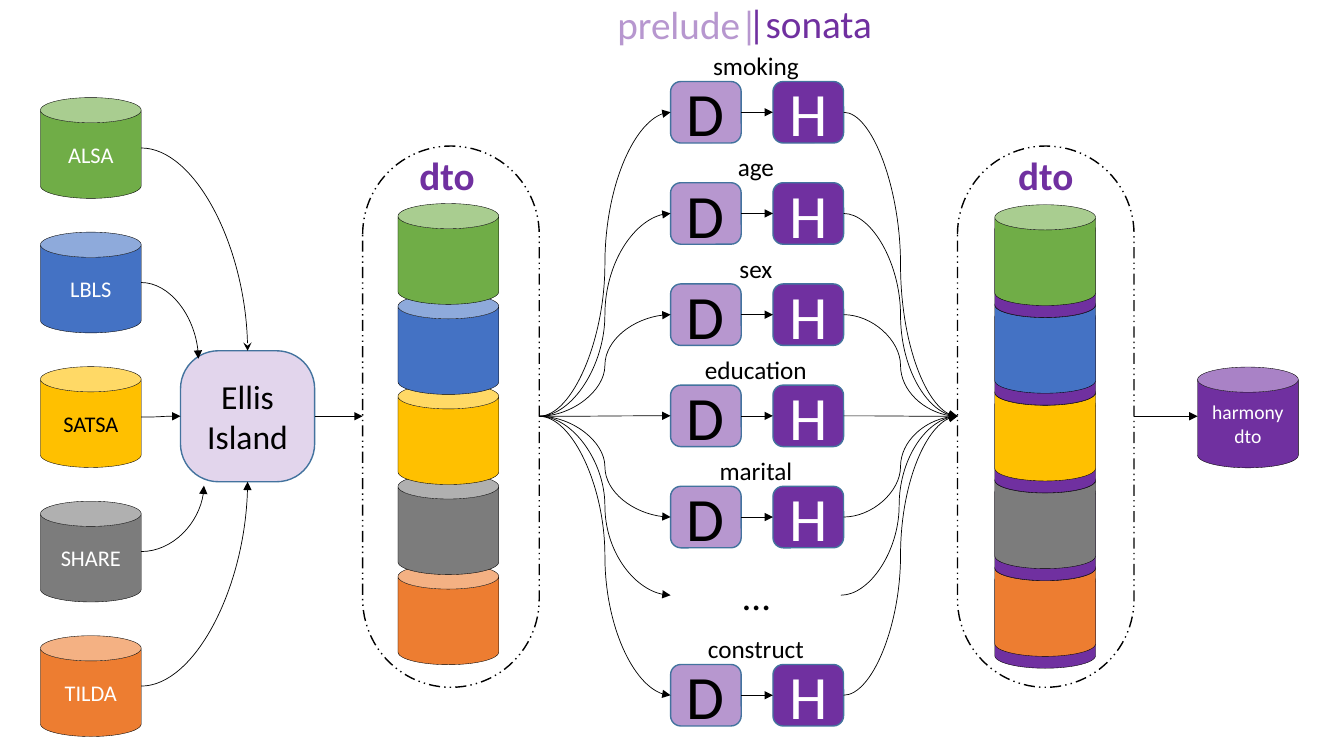
from lxml.etree import SubElement
from pptx import Presentation
from pptx.dml.color import RGBColor
from pptx.enum.dml import MSO_LINE
from pptx.enum.shapes import MSO_CONNECTOR, MSO_SHAPE
from pptx.enum.text import MSO_ANCHOR, MSO_AUTO_SIZE, PP_ALIGN
from pptx.oxml.ns import qn
from pptx.util import Cm, Pt

BLACK = RGBColor(0x00, 0x00, 0x00)
WHITE = RGBColor(0xFF, 0xFF, 0xFF)
GREEN = RGBColor(0x70, 0xAD, 0x47)
BLUE = RGBColor(0x44, 0x72, 0xC4)
GOLD = RGBColor(0xFF, 0xC0, 0x00)
GRAY = RGBColor(0x7C, 0x7C, 0x7C)
ORANGE = RGBColor(0xED, 0x7D, 0x31)
PURPLE = RGBColor(0x70, 0x30, 0xA0)
LILAC = RGBColor(0xB7, 0x97, 0xCF)
STEEL = RGBColor(0x43, 0x73, 0x9E)

STUDIES = [("ALSA", GREEN, WHITE), ("LBLS", BLUE, WHITE), ("SATSA", GOLD, BLACK),
           ("SHARE", GRAY, WHITE), ("TILDA", ORANGE, WHITE)]
CONSTRUCTS = [("smoking", 2.69), ("age", 1.45), ("sex", 1.35),
              ("education", 3.12), ("marital", 2.36)]

AXIS = 10.49
CAN = 2.54
SOURCE_X, SOURCE_Y, SOURCE_STEP = 1.02, 2.46, 3.39
ELLIS_X, ELLIS_Y, ELLIS_W, ELLIS_H = 4.55, 8.84, 3.38, 3.3
CAPSULE_Y, CAPSULE_W, CAPSULE_H = 3.68, 4.45, 13.64
RAW_X, HARMONIZED_X = 9.14, 24.13
D_X, H_X, BOX_W, BOX_H = 16.9, 19.48, 1.78, 1.55
ROW_Y, ROW_STEP = 2.83, 2.55
DOTS_Y, LAST_Y = 15.0, 17.52
LABEL_CENTER = 19.05


def write(sp, lines, size, color, align=PP_ALIGN.CENTER, bold=False):
    tf = sp.text_frame
    tf.text = "\n".join(lines)
    for p in tf.paragraphs:
        p.alignment = align
        p.font.name = "Calibri"
        p.font.size = Pt(size)
        p.font.bold = bold
        p.font.color.rgb = color


def add_block(s, kind, x, y, w, h, fill, line, width, opacity=100):
    sp = s.shapes.add_shape(kind, Cm(x), Cm(y), Cm(w), Cm(h))
    sp.shadow.inherit = False
    sp.fill.solid()
    sp.fill.fore_color.rgb = fill
    if opacity < 100:
        color = sp._element.spPr.find(qn("a:solidFill"))[0]
        SubElement(color, qn("a:alpha")).set("val", str(opacity * 1000))
    sp.line.color.rgb = line
    sp.line.width = Pt(width)
    sp.text_frame.vertical_anchor = MSO_ANCHOR.MIDDLE
    return sp


def add_can(s, x, y, fill):
    return add_block(s, MSO_SHAPE.CAN, x, y, CAN, CAN, fill, BLACK, 0.25)


def add_rounded(s, x, y, w, h, fill, opacity=100):
    return add_block(s, MSO_SHAPE.ROUNDED_RECTANGLE, x, y, w, h, fill, STEEL, 1, opacity)


def add_text(s, x, y, w, h, text, size, color, align=PP_ALIGN.CENTER, bold=False, wrap=False):
    sp = s.shapes.add_textbox(Cm(x), Cm(y), Cm(w), Cm(h))
    sp.text_frame.word_wrap = wrap
    sp.text_frame.auto_size = MSO_AUTO_SIZE.SHAPE_TO_FIT_TEXT
    write(sp, [text], size, color, align, bold)


def add_arrow(s, x1, y1, x2, y2, bend="curvedConnector3", head="triangle"):
    c = s.shapes.add_connector(MSO_CONNECTOR.CURVE, Cm(x1), Cm(y1), Cm(x2), Cm(y2))
    c.line.color.rgb = BLACK
    c.line.width = Pt(0.5)
    spPr = c._element.spPr
    spPr.find(qn("a:prstGeom")).set("prst", bend)
    SubElement(spPr.find(qn("a:ln")), qn("a:tailEnd")).set("type", head)
    SubElement(spPr, qn("a:effectLst"))


def add_capsule(s, x, label_x):
    sp = add_block(s, MSO_SHAPE.ROUNDED_RECTANGLE, x, CAPSULE_Y, CAPSULE_W, CAPSULE_H,
                   WHITE, BLACK, 1)
    sp.adjustments[0] = 0.5
    sp.line.dash_style = MSO_LINE.DASH_DOT_DOT
    add_text(s, label_x, CAPSULE_Y, 4.29, 1.45, "dto", 28, PURPLE, bold=True, wrap=True)


def add_stack(s, x, y, step, backing=None):
    for i, (_, fill, _) in reversed(list(enumerate(STUDIES))):
        if backing is not None:
            add_can(s, x, y + i * step + 0.3, backing)
        add_can(s, x, y + i * step, fill)


def add_fan(s, y, right=H_X + BOX_W):
    add_arrow(s, RAW_X + CAPSULE_W, AXIS, D_X, y)
    add_arrow(s, right, y, HARMONIZED_X, AXIS)


def add_construct(s, y, name, width):
    add_text(s, LABEL_CENTER - width / 2, y - 1.68, width, 1.03, name, 18, BLACK)
    write(add_rounded(s, D_X, y - BOX_H / 2, BOX_W, BOX_H, PURPLE, 50), ["D"], 44, BLACK)
    write(add_rounded(s, H_X, y - BOX_H / 2, BOX_W, BOX_H, PURPLE), ["H"], 44, WHITE)
    add_arrow(s, D_X + BOX_W, y, H_X, y)
    add_fan(s, y)


def add_sources(s):
    for i, (name, fill, color) in enumerate(STUDIES):
        write(add_can(s, SOURCE_X, SOURCE_Y + i * SOURCE_STEP, fill), [name], 16, color)
    ellis = add_rounded(s, ELLIS_X, ELLIS_Y, ELLIS_W, ELLIS_H, PURPLE, 20)
    ellis.adjustments[0] = 0.29
    write(ellis, ["Ellis", "Island"], 24, BLACK)
    middle = ELLIS_X + ELLIS_W / 2
    targets = [(middle, ELLIS_Y, "curvedConnector2", "stealth"),
               (5.0, 9.04, "curvedConnector2", "triangle"),
               (ELLIS_X, AXIS, "curvedConnector3", "triangle"),
               (5.14, 12.24, "curvedConnector2", "triangle"),
               (middle, ELLIS_Y + ELLIS_H, "curvedConnector2", "triangle")]
    for i, target in enumerate(targets):
        y = SOURCE_Y + i * SOURCE_STEP + CAN / 2
        add_arrow(s, SOURCE_X + CAN, y, *target)
    add_arrow(s, ELLIS_X + ELLIS_W, AXIS, RAW_X, AXIS)


def add_heading(s):
    title = s.shapes.title
    title.left, title.top, title.width, title.height = Cm(15.27), Cm(-0.13), Cm(4.09), Cm(1.45)
    title.text_frame.word_wrap = False
    title.text_frame.auto_size = MSO_AUTO_SIZE.NONE
    title.text_frame.vertical_anchor = MSO_ANCHOR.TOP
    write(title, ["prelude|"], 28, LILAC, PP_ALIGN.RIGHT)
    add_text(s, 18.59, -0.13, 3.68, 1.45, "|sonata", 28, PURPLE, PP_ALIGN.LEFT)


def main():
    prs = Presentation()
    prs.slide_width, prs.slide_height = Cm(33.87), Cm(19.05)
    s = prs.slides.add_slide(prs.slide_layouts[5])
    add_heading(s)
    add_sources(s)
    add_capsule(s, RAW_X, 9.12)
    add_stack(s, 10.03, 5.13, 2.27)
    add_capsule(s, HARMONIZED_X, 24.21)
    add_stack(s, 25.07, 5.16, 2.21, PURPLE)
    for i, (name, width) in enumerate(CONSTRUCTS):
        add_construct(s, ROW_Y + i * ROW_STEP, name, width)
    add_text(s, 16.92, 14.27, 4.29, 1.45, "…", 28, BLACK, wrap=True)
    add_fan(s, DOTS_Y, 21.19)
    add_construct(s, LAST_Y, "construct", 2.95)
    harmony = add_can(s, 30.18, 9.25, PURPLE)
    write(harmony, ["harmony", "dto"], 14, WHITE)
    add_arrow(s, HARMONIZED_X + CAPSULE_W, AXIS, 30.18, AXIS)
    prs.save("out.pptx")


if __name__ == "__main__":
    main()
